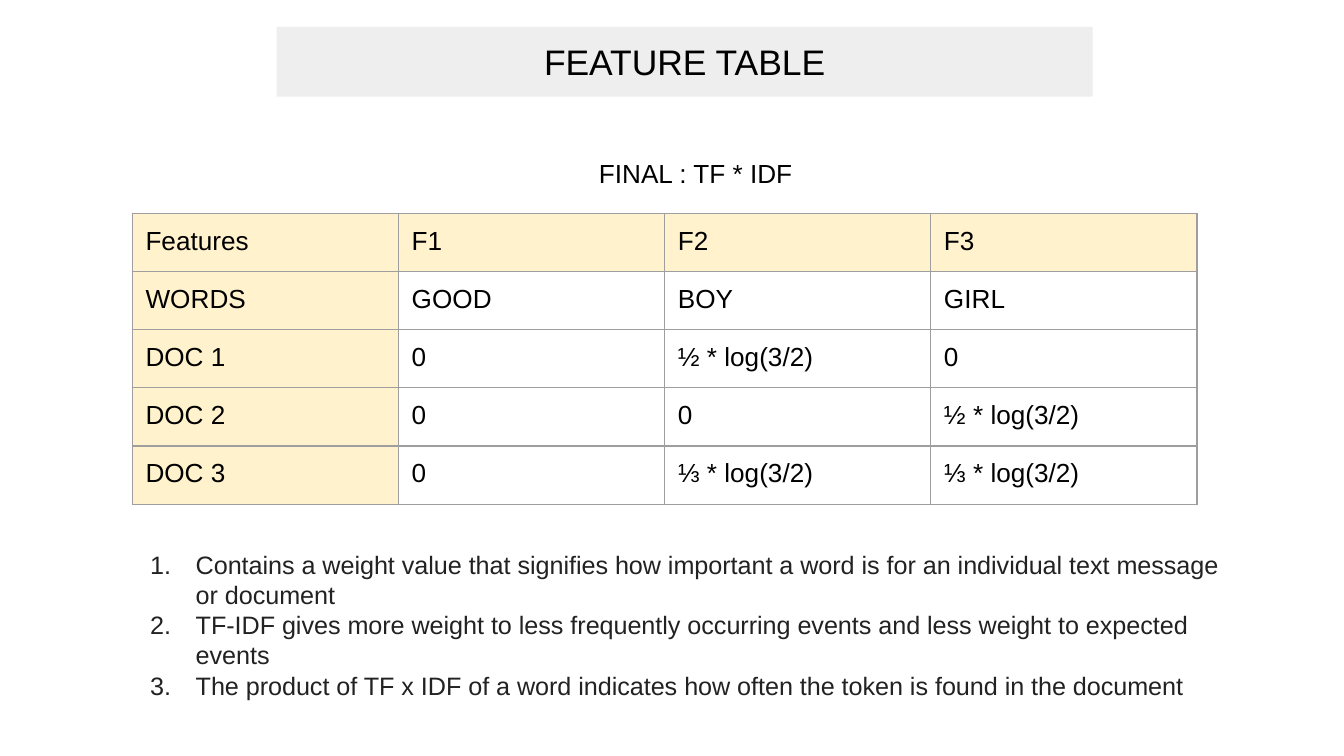
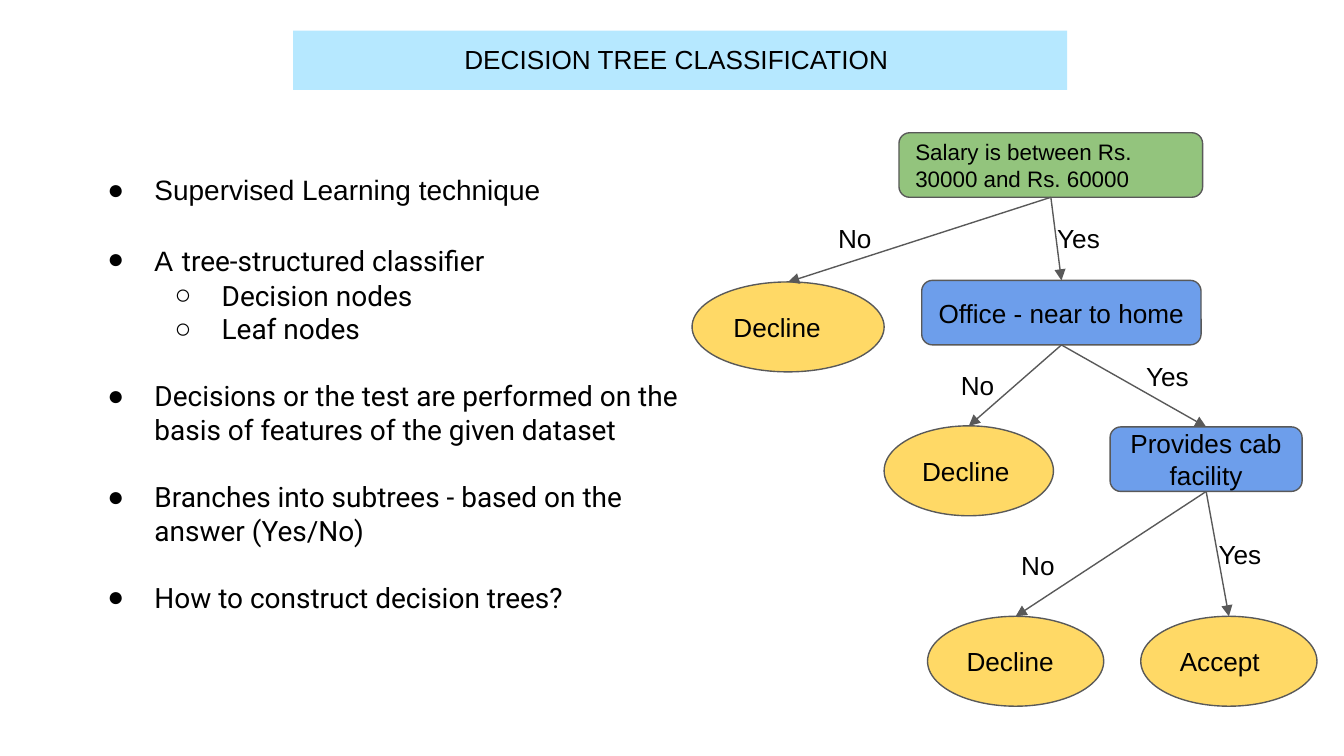
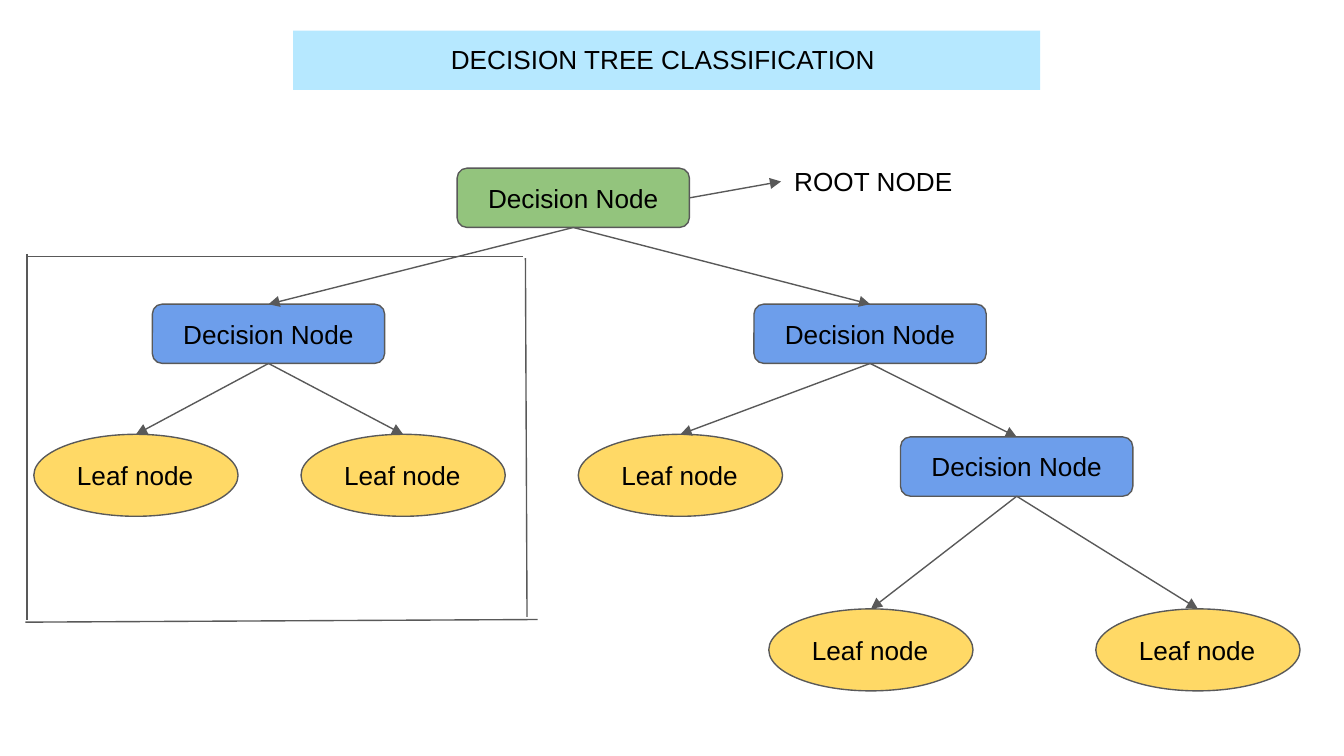
from dataclasses import dataclass
from typing import NamedTuple

from lxml.etree import SubElement
from pptx import Presentation
from pptx.dml.color import RGBColor
from pptx.enum.shapes import MSO_CONNECTOR, MSO_SHAPE
from pptx.enum.text import MSO_ANCHOR, MSO_AUTO_SIZE, PP_ALIGN
from pptx.oxml.ns import qn
from pptx.util import Cm, Pt


@dataclass(frozen=True)
class Theme:
    """Colours, fonts and type sizes shared by the slides."""

    text: str = "000000"
    note: str = "222222"
    white: str = "FFFFFF"
    grey_band: str = "EEEEEE"
    blue_band: str = "B6E8FF"
    header: str = "FFF2CC"
    border: str = "9E9E9E"
    line: str = "595959"
    root: str = "93C47D"
    decision: str = "6D9EEB"
    leaf: str = "FFD966"
    font: str = "Arial"
    bullet_font: str = "Roboto"
    heading_size: float = 19
    wide_size: float = 17
    bullet_size: float = 15
    body_size: float = 14
    note_size: float = 13.5
    small_size: float = 12
    line_width: float = 0.75
    inset: float = 0.25
    gap: float = 18


THEME = Theme()


class Box(NamedTuple):
    """A rectangle in centimetres."""

    left: float
    top: float
    width: float = 0
    height: float = 0

    def place(self, part):
        """Return a part, given relative to this box, in slide coordinates."""
        return Box(self.left + part.left, self.top + part.top, part.width, part.height)

    def lengths(self):
        """Return the four sides as lengths."""
        return [Cm(value) for value in self]


class NodeStyle(NamedTuple):
    """The look of one kind of tree node."""

    outline: MSO_SHAPE
    fill: str
    size: float
    alignment: PP_ALIGN


ROUNDED = MSO_SHAPE.ROUNDED_RECTANGLE
NODE_STYLES = {
    "question": NodeStyle(ROUNDED, THEME.root, THEME.small_size, PP_ALIGN.LEFT),
    "root": NodeStyle(ROUNDED, THEME.root, THEME.body_size, PP_ALIGN.CENTER),
    "decision": NodeStyle(ROUNDED, THEME.decision, THEME.body_size, PP_ALIGN.CENTER),
    "leaf": NodeStyle(MSO_SHAPE.OVAL, THEME.leaf, THEME.body_size, PP_ALIGN.LEFT),
}


def apply_format(target, values):
    """Set each named attribute on the target."""
    for name, value in values.items():
        setattr(target, name, value)


def rgb(color):
    """Return a colour from its hex digits."""
    return RGBColor.from_string(color)


def add_run(paragraph, text, size=THEME.body_size, color=THEME.text, font=THEME.font):
    """Add a formatted run to a paragraph."""
    run = paragraph.add_run()
    run.text = text
    apply_format(run.font, {"name": font, "size": Pt(size)})
    run.font.color.rgb = rgb(color)


def set_margins(target):
    """Give a text frame or a cell the shared inset."""
    sides = ("left", "right", "top", "bottom")
    apply_format(target, {f"margin_{side}": Cm(THEME.inset) for side in sides})


def prepare_frame(shape, anchor=MSO_ANCHOR.TOP, auto_size=MSO_AUTO_SIZE.SHAPE_TO_FIT_TEXT):
    """Set up and return the text frame of a shape."""
    frame = shape.text_frame
    set_margins(frame)
    apply_format(frame, {"word_wrap": True, "auto_size": auto_size, "vertical_anchor": anchor})
    return frame


def add_text_box(slide, box):
    """Add an empty text box and return its text frame."""
    return prepare_frame(slide.shapes.add_textbox(*box.lengths()))


def add_label(slide, box, text):
    """Add a one-line label."""
    add_run(add_text_box(slide, box).paragraphs[0], text)


def add_filled_shape(slide, outline, box, fill):
    """Add a preset shape with a plain fill and no line."""
    shape = slide.shapes.add_shape(outline, *box.lengths())
    shape.shadow.inherit = False
    shape.fill.solid()
    shape.fill.fore_color.rgb = rgb(fill)
    shape.line.fill.background()
    return shape


def add_band(slide, box, text, fill, size=THEME.body_size):
    """Add a filled band with centred text."""
    shape = add_filled_shape(slide, MSO_SHAPE.RECTANGLE, box, fill)
    paragraph = prepare_frame(shape).paragraphs[0]
    paragraph.alignment = PP_ALIGN.CENTER
    add_run(paragraph, text, size)


def add_title(slide, width):
    """Add the title band of the decision tree slides."""
    box = Box(5.54, 0.58, width, 1.12)
    add_band(slide, box, "DECISION TREE CLASSIFICATION ", THEME.blue_band)


def set_line(line):
    """Apply the shared line format."""
    line.color.rgb = rgb(THEME.line)
    line.width = Pt(THEME.line_width)


def add_line(slide, start=(0, 0), end=(0, 0), arrow=False):
    """Add a straight line, optionally with an arrowhead at its end."""
    ends = [Cm(value) for value in (*start, *end)]
    connector = slide.shapes.add_connector(MSO_CONNECTOR.STRAIGHT, *ends)
    set_line(connector.line)
    if arrow:
        SubElement(connector.line._get_or_add_ln(), qn("a:tailEnd"), type="triangle")
    SubElement(connector._element.spPr, qn("a:effectLst"))
    return connector


def set_bullet(paragraph, color, indent, hanging, mark=None):
    """Give a paragraph a bullet mark, or a number when there is no mark."""
    properties = paragraph._p.get_or_add_pPr()
    properties.set("marL", str(Cm(indent)))
    properties.set("indent", str(-Cm(hanging)))
    SubElement(SubElement(properties, qn("a:buClr")), qn("a:srgbClr"), val=color)
    SubElement(properties, qn("a:buFont"), typeface=THEME.font)
    if mark:
        SubElement(properties, qn("a:buChar"), char=mark)
    else:
        SubElement(properties, qn("a:buAutoNum"), type="arabicPeriod")


def next_paragraph(frame, index):
    """Return the first paragraph of a frame, or a new one after it."""
    return frame.add_paragraph() if index else frame.paragraphs[0]


def add_numbered_notes(slide, box, notes):
    """Add a numbered list."""
    frame = add_text_box(slide, box)
    for index, note in enumerate(notes):
        paragraph = next_paragraph(frame, index)
        set_bullet(paragraph, THEME.note, 1.27, 0.86)
        add_run(paragraph, note, THEME.note_size, THEME.note)


def add_bullets(slide, box, items):
    """Add a two-level bullet list with a gap before each later main item."""
    frame = add_text_box(slide, box)
    for index, (level, runs) in enumerate(items):
        paragraph = next_paragraph(frame, index)
        paragraph.level = level
        set_bullet(paragraph, THEME.text, 1.27 * (level + 1), 0.89, "●○"[level])
        if index and level == 0:
            paragraph.space_before = Pt(THEME.gap)
        for text, font, size in runs:
            add_run(paragraph, text, size, font=font)


def set_borders(cell):
    """Draw the four borders of a table cell."""
    properties = cell._tc.get_or_add_tcPr()
    for side in "LRTB":
        border = SubElement(properties, qn(f"a:ln{side}"), w=str(Pt(THEME.line_width)))
        fill = SubElement(border, qn("a:solidFill"))
        SubElement(fill, qn("a:srgbClr"), val=THEME.border)


def add_feature_table(slide, box, rows):
    """Add the feature table with a tinted first row and first column."""
    frame = slide.shapes.add_table(len(rows), len(rows[0]), *box.lengths())
    table = frame.table
    apply_format(table, {"first_row": False, "horz_banding": False})
    for row_index, values in enumerate(rows):
        for column_index, value in enumerate(values):
            cell = table.cell(row_index, column_index)
            set_margins(cell)
            set_borders(cell)
            if row_index == 0 or column_index == 0:
                cell.fill.solid()
                cell.fill.fore_color.rgb = rgb(THEME.header)
            else:
                cell.fill.background()
            add_run(cell.text_frame.paragraphs[0], value)


def add_node(slide, box, kind, text):
    """Add one tree node and return its shape."""
    style = NODE_STYLES[kind]
    shape = add_filled_shape(slide, style.outline, box, style.fill)
    set_line(shape.line)
    frame = prepare_frame(shape, MSO_ANCHOR.MIDDLE, MSO_AUTO_SIZE.NONE)
    paragraph = frame.paragraphs[0]
    paragraph.alignment = style.alignment
    add_run(paragraph, text, style.size)
    return shape


def add_tree(slide, box, nodes, branches):
    """Add nodes placed in the box, join them, and return the shapes by name."""
    shapes = {
        name: add_node(slide, box.place(part), kind, text)
        for name, (kind, text, part) in nodes.items()
    }
    for parent, child in branches:
        branch = add_line(slide, arrow=True)
        branch.begin_connect(shapes[parent], 2)
        branch.end_connect(shapes[child], 0)
    return shapes


def add_subtree_frame(slide, box):
    """Add the four loose lines around a subtree."""
    right, bottom = box.width, box.height
    edges = [
        (0.03, 0, 0.03, bottom - 0.05),
        (0, bottom, right, bottom - 0.05),
        (0.05, 0.05, right - 0.28, 0.05),
        (right - 0.23, 0.08, right - 0.2, bottom - 0.1),
    ]
    for left, top, end_left, end_top in edges:
        start, end = box.place(Box(left, top)), box.place(Box(end_left, end_top))
        add_line(slide, start[:2], end[:2])


def build_feature_slide(slide):
    """Build the TF-IDF feature table slide."""
    add_band(slide, Box(5.23, 0.51, 15.42, 1.32), "FEATURE TABLE",
             THEME.grey_band, THEME.heading_size)
    rows = [
        ("Features", "F1", "F2", "F3"),
        ("WORDS", "GOOD", "BOY", "GIRL"),
        ("DOC 1", "0", "½ * log(3/2)", "0"),
        ("DOC 2", "0", "0", "½ * log(3/2)"),
        ("DOC 3", "0", "⅓ * log(3/2)", "⅓ * log(3/2)"),
    ]
    add_feature_table(slide, Box(2.5, 4.03, 20.12, 5.5), rows)
    add_band(slide, Box(7.32, 2.72, 11.66, 1.12), "FINAL : TF * IDF", THEME.white)
    notes = [
        "Contains a weight value that signifies how important a word is for an "
        "individual text message or document",
        "TF-IDF gives more weight to less frequently occurring events and less "
        "weight to expected events",
        "The product of TF x IDF of a word indicates how often the token is found "
        "in the document",
    ]
    add_numbered_notes(slide, Box(2.18, 10.13, 21.36, 3.4), notes)


def build_example_slide(slide):
    """Build the slide with the bullet list and the job offer tree."""
    add_title(slide, 14.63)
    plain = (THEME.font, THEME.bullet_size)
    roboto = (THEME.bullet_font, THEME.bullet_size)
    bullets = [
        (0, [("Supervised Learning technique", *plain)]),
        (0, [("A", *plain), (" ", THEME.font, THEME.wide_size),
             ("tree-structured classifier", *roboto)]),
        (1, [("Decision nodes", *roboto)]),
        (1, [("Leaf nodes", *roboto)]),
        (0, [("Decisions or the test are performed on the basis of features of the "
              "given dataset", *roboto)]),
        (0, [("Branches into subtrees - based on the answer (Yes/No)", *roboto)]),
        (0, [("How to construct decision trees?", *roboto)]),
    ]
    add_bullets(slide, Box(1.4, 3.02, 11.89, 9.53), bullets)

    tree = Box(13.08, 2.51)
    nodes = {
        "salary": ("question", "Salary is between Rs. 30000 and Rs. 60000",
                   Box(3.91, 0, 5.74, 1.22)),
        "office": ("decision", "Office - near to home", Box(4.34, 2.79, 5.28, 1.22)),
        "low salary": ("leaf", "Decline", Box(0, 2.82, 3.63, 1.7)),
        "far office": ("leaf", "Decline", Box(3.63, 5.54, 3.2, 1.7)),
        "no cab": ("leaf", "Decline", Box(4.45, 9.14, 3.33, 1.7)),
        "cab": ("decision", "Provides cab facility", Box(7.9, 5.56, 3.63, 1.22)),
        "accept": ("leaf", "Accept", Box(8.48, 9.14, 3.33, 1.7)),
    }
    branches = [
        ("salary", "low salary"), ("salary", "office"),
        ("office", "far office"), ("office", "cab"),
        ("cab", "no cab"), ("cab", "accept"),
    ]
    add_tree(slide, tree, nodes, branches)
    answers = [
        ("Yes", 6.65, 1.45), ("No", 2.51, 1.45), ("Yes", 8.33, 4.06),
        ("Yes", 9.7, 7.42), ("No", 4.83, 4.22), ("No", 5.97, 7.62),
    ]
    for answer, left, top in answers:
        add_label(slide, tree.place(Box(left, top, 1.83, 1.12)), answer)


def build_structure_slide(slide):
    """Build the slide that names the parts of a decision tree."""
    add_title(slide, 14.12)
    sizes = {"root": (4.39, 1.12), "decision": (4.39, 1.12), "leaf": (3.86, 1.55)}
    texts = {"root": "Decision Node", "decision": "Decision Node", "leaf": "Leaf node"}
    positions = {
        "root": ("root", 8, 0),
        "left": ("decision", 2.24, 2.57),
        "right": ("decision", 13.61, 2.57),
        "left first": ("leaf", 0, 5.03),
        "left second": ("leaf", 5.05, 5.03),
        "right leaf": ("leaf", 10.29, 5.03),
        "deep first": ("leaf", 13.89, 8.33),
        "deep": ("decision", 16.38, 5.08),
        "deep second": ("leaf", 20.07, 8.33),
    }
    nodes = {
        name: (kind, texts[kind], Box(left, top, *sizes[kind]))
        for name, (kind, left, top) in positions.items()
    }
    branches = [
        ("root", "left"), ("root", "right"),
        ("left", "left first"), ("left", "left second"),
        ("right", "right leaf"), ("right", "deep"),
        ("deep", "deep first"), ("deep", "deep second"),
    ]
    shapes = add_tree(slide, Box(0.64, 3.18), nodes, branches)
    add_label(slide, Box(14.76, 2.87, 4.75, 1.12), "ROOT NODE")
    pointer = add_line(slide, end=(14.76, 3.43), arrow=True)
    pointer.begin_connect(shapes["root"], 3)
    add_subtree_frame(slide, Box(0.48, 4.8, 9.68, 6.96))


def main():
    """Build and save the presentation."""
    presentation = Presentation()
    apply_format(presentation, {"slide_width": Cm(25.4), "slide_height": Cm(14.29)})
    for build in (build_feature_slide, build_example_slide, build_structure_slide):
        build(presentation.slides.add_slide(presentation.slide_layouts[6]))
    presentation.save("out.pptx")


if __name__ == "__main__":
    main()
